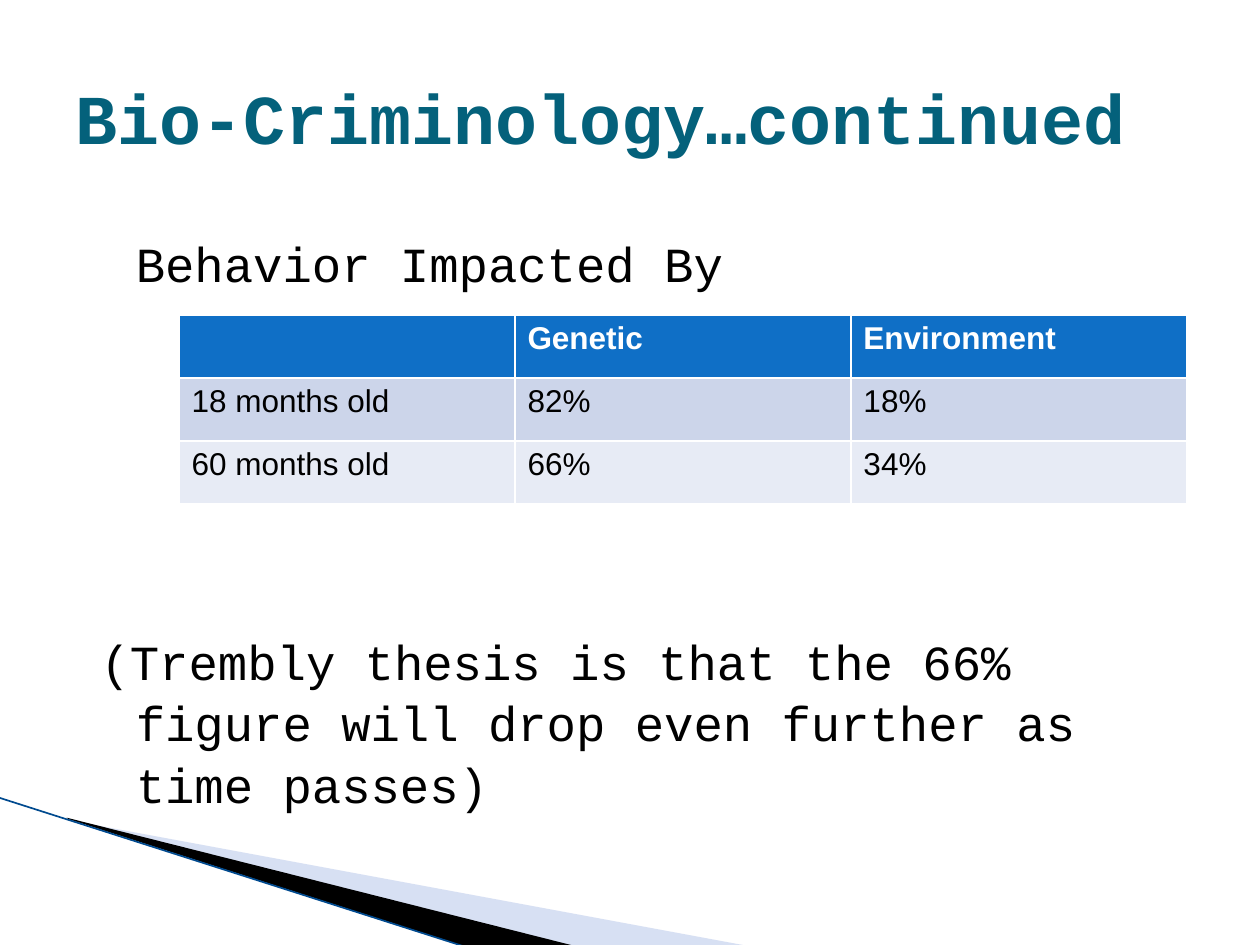
from lxml.etree import SubElement
from pptx import Presentation
from pptx.dml.color import RGBColor
from pptx.enum.text import MSO_ANCHOR, PP_ALIGN
from pptx.oxml.ns import qn
from pptx.util import Inches, Pt

TITLE = "Bio-Criminology…continued"
STATEMENTS = [
    ("Behavior Impacted By", 0, 0),
    ("(Trembly thesis is that the 66% figure will drop even further as time passes)", -0.28, 192),
]
ROWS = [
    ("", "Genetic", "Environment"),
    ("18 months old", "82%", "18%"),
    ("60 months old", "66%", "34%"),
]
ROW_FILLS = ["0F6FC6", "CCD5EA", "E7EBF5"]
WEDGES = [
    ([(0.55, 6.51), (5.95, 7.51), (4.56, 7.51), (0.55, 6.5)], "9DB2E1", 40),
    ([(0.53, 6.49), (4.57, 7.51), (3.72, 7.52), (0.54, 6.5)], "000000", 100),
]
EDGE = [(-0.01, 6.33), (3.71, 7.52)]


def color(value):
    return RGBColor.from_string(value)


def set_font(para, name, size, value, bold=False):
    font = para.font
    font.name, font.size, font.bold = name, Pt(size), bold
    font.color.rgb = color(value)


def add_wedge(page, points, value, opacity):
    corners = [(Inches(x), Inches(y)) for x, y in points]
    builder = page.shapes.build_freeform(*corners[0])
    builder.add_line_segments(corners[1:], close=True)
    wedge = builder.convert_to_shape()
    wedge.shadow.inherit = False
    wedge.fill.solid()
    wedge.fill.fore_color.rgb = color(value)
    wedge.line.fill.background()
    if opacity < 100:
        tint = wedge.fill._xPr.find(qn("a:solidFill"))[0]
        SubElement(tint, qn("a:alpha"), val=str(opacity * 1000))


def add_edge(page):
    (x1, y1), (x2, y2) = EDGE
    edge = page.shapes.add_connector(1, Inches(x1), Inches(y1), Inches(x2), Inches(y2))
    edge.line.color.rgb = color("004A8F")
    edge.line.width = Pt(0.95)
    SubElement(edge._element.spPr, qn("a:effectLst"))


def add_statements(page):
    box = page.shapes.add_textbox(Inches(0.58), Inches(1.25), Inches(9), Inches(5.5))
    frame = box.text_frame
    frame.word_wrap = True
    frame.margin_top = Inches(0.58)
    for index, (text, indent, gap) in enumerate(STATEMENTS):
        para = frame.add_paragraph() if index else frame.paragraphs[0]
        para.text = text
        para.space_before = Pt(gap)
        para.line_spacing = 1.05
        set_font(para, "Courier New", 28, "000000")
        settings = para._p.get_or_add_pPr()
        settings.set("marL", str(Inches(0.4)))
        settings.set("indent", str(Inches(indent)))


def place_title(page):
    title = page.shapes.title
    title.left, title.top = Inches(0.5), Inches(0.3)
    title.width, title.height = Inches(9), Inches(1.25)
    title.text_frame.text = TITLE
    title.text_frame.vertical_anchor = MSO_ANCHOR.MIDDLE
    para = title.text_frame.paragraphs[0]
    para.alignment = PP_ALIGN.LEFT
    set_font(para, "Courier New", 40, "04617B", True)


def add_share_table(page):
    table = page.shapes.add_table(
        len(ROWS), len(ROWS[0]), Inches(1.42), Inches(2.5), Inches(8), Inches(1.5)
    ).table
    for r, (row, fill) in enumerate(zip(ROWS, ROW_FILLS)):
        header = r == 0
        for c, text in enumerate(row):
            cell = table.cell(r, c)
            cell.text = text
            cell.fill.solid()
            cell.fill.fore_color.rgb = color(fill)
            set_font(cell.text_frame.paragraphs[0], "Arial", 18,
                     "FFFFFF" if header else "000000", header)


def main():
    deck = Presentation()
    deck.slide_width, deck.slide_height = Inches(10), Inches(7.5)
    page = deck.slides.add_slide(deck.slide_layouts[5])
    for wedge in WEDGES:
        add_wedge(page, *wedge)
    add_edge(page)
    add_statements(page)
    place_title(page)
    add_share_table(page)
    deck.save("out.pptx")


if __name__ == "__main__":
    main()
